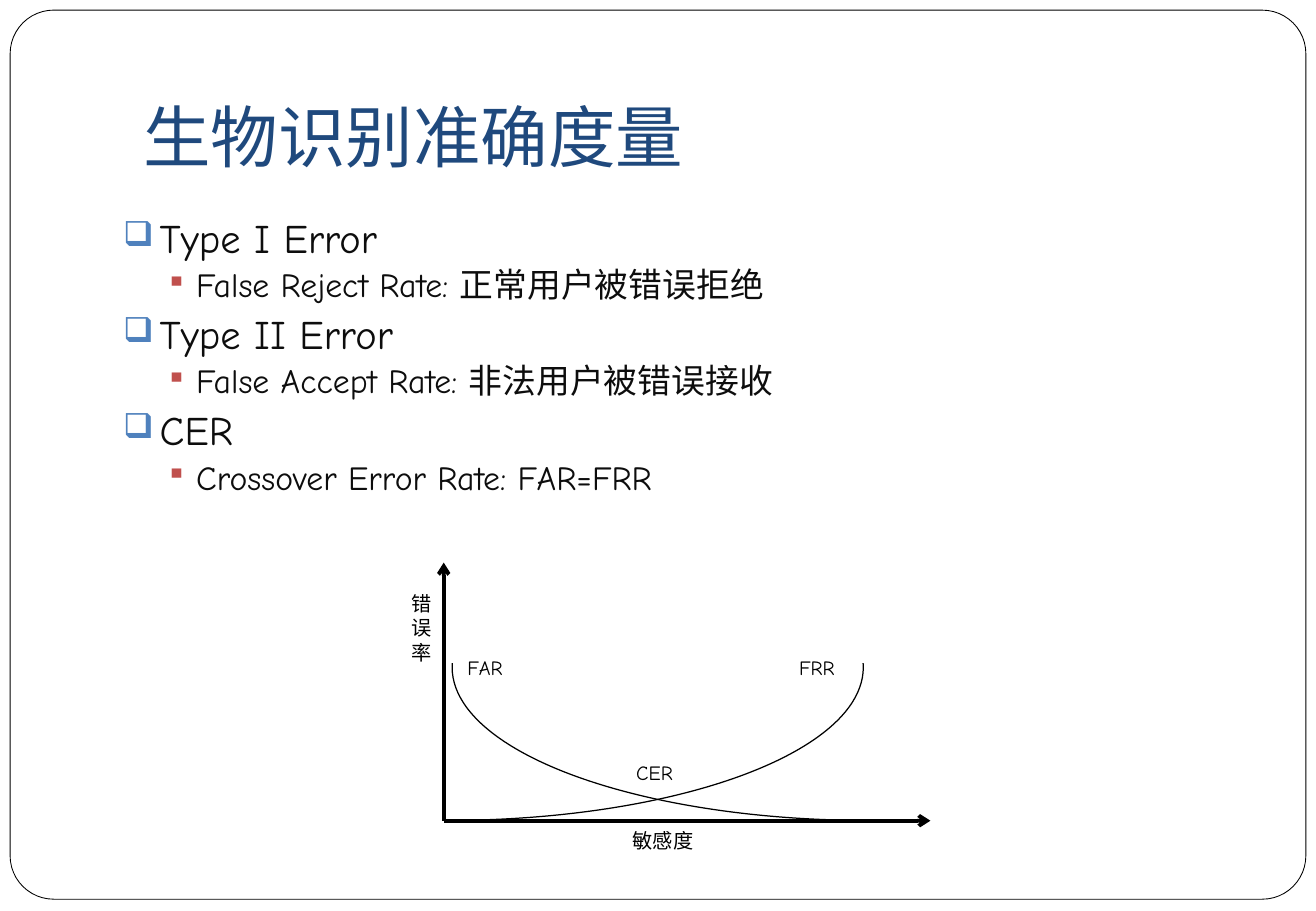
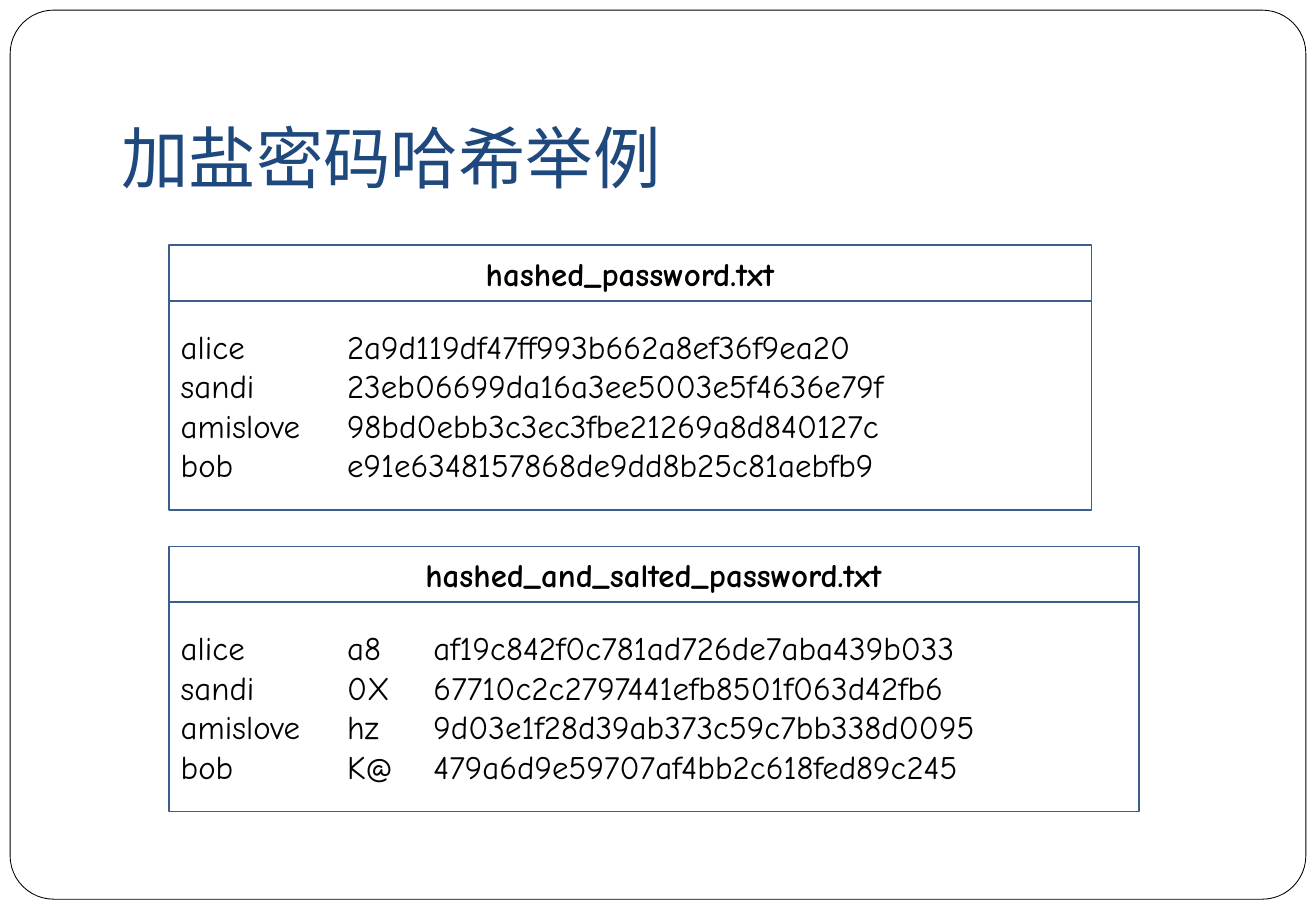
from lxml import etree
from pptx import Presentation
from pptx.dml.color import RGBColor
from pptx.enum import shapes, text
from pptx.oxml import ns
from pptx.util import Pt

COLORS = {
    "paper": "FFFFFF", "ink": "000000", "body": "0D0D0D", "title": "1F497D",
    "box": "3A5F8C", "blue": "4F81BD", "red": "C0504D",
}
FONT = "Comic Neue"
LEVELS = [
    {"size": 24, "left": 21.6, "hang": 21.6, "gap": 5.8, "mark": "❑", "color": "blue"},
    {"size": 20, "left": 43.2, "hang": 18, "gap": 3.7, "mark": "▪", "color": "red"},
]


def color(name):
    return RGBColor.from_string(COLORS[name])


def add(node, tag, **attrs):
    return etree.SubElement(node, ns.qn(tag), attrs)


class Deck:
    def __init__(self):
        self.prs = Presentation()
        self.prs.slide_width, self.prs.slide_height = Pt(780), Pt(540)

    def page(self):
        self.slide = self.prs.slides.add_slide(self.prs.slide_layouts[6])
        frame = self.shape("ROUNDED_RECTANGLE", 6, 6, 768, 527, "ink", 0.5, "paper")
        frame.adjustments[0] = 0.049

    def shape(self, kind, x, y, w, h, line, width, fill=None):
        item = self.slide.shapes.add_shape(
            getattr(shapes.MSO_SHAPE, kind), Pt(x), Pt(y), Pt(w), Pt(h))
        item.shadow.inherit = False
        item.line.color.rgb = color(line)
        item.line.width = Pt(width)
        if fill:
            item.fill.solid()
            item.fill.fore_color.rgb = color(fill)
        else:
            item.fill.background()
        return item

    def words(self, item, copy, size, tint, bold=False, align="LEFT", anchor="TOP"):
        frame = item.text_frame
        frame.word_wrap = True
        frame.vertical_anchor = getattr(text.MSO_ANCHOR, anchor)
        frame.text = copy
        for para in frame.paragraphs:
            para.alignment = getattr(text.PP_ALIGN, align)
            for run in para.runs:
                run.font.name = FONT
                run.font.size = Pt(size)
                run.font.bold = bold
                run.font.color.rgb = color(tint)
        return frame

    def label(self, copy, x, y, w, h, size=12, tint="ink", anchor="TOP"):
        item = self.slide.shapes.add_textbox(Pt(x), Pt(y), Pt(w), Pt(h))
        return self.words(item, copy, size, tint, anchor=anchor)

    def title(self, copy, x, y, w, h):
        frame = self.label(copy, x, y, w, h, 40, "title", "BOTTOM")
        frame.margin_bottom = Pt(7.2)

    def bullets(self, items, x, y, w, h):
        copy = "\n".join(line for _, line in items)
        frame = self.label(copy, x, y, w, h, 24, "body")
        for i, (para, (rank, _)) in enumerate(zip(frame.paragraphs, items)):
            style = LEVELS[rank]
            para.level = rank
            props = para._p.get_or_add_pPr()
            props.set("marL", str(Pt(style["left"])))
            props.set("indent", str(-Pt(style["hang"])))
            add(add(props, "a:buClr"), "a:srgbClr", val=COLORS[style["color"]])
            add(props, "a:buSzPct", val="85000")
            add(props, "a:buChar", char=style["mark"])
            para.line_spacing = 0.9
            para.space_before = Pt(style["gap"] if i else 0)
            for run in para.runs:
                run.font.size = Pt(style["size"])

    def curve(self, x, y, w, h, flip=False):
        arc = self.shape("ARC", x, y, w, h, "ink", 0.75)
        arc.adjustments[0], arc.adjustments[1] = 161.637, 0.355
        arc.rotation = 180
        if flip:
            arc._element.spPr.find(ns.qn("a:xfrm")).set("flipH", "1")

    def arrow(self, x1, y1, x2, y2):
        line = self.slide.shapes.add_connector(
            shapes.MSO_CONNECTOR.STRAIGHT, Pt(x1), Pt(y1), Pt(x2), Pt(y2))
        line.line.color.rgb = color("ink")
        line.line.width = Pt(2.25)
        props = line._element.spPr
        add(props.find(ns.qn("a:ln")), "a:tailEnd", type="arrow")
        add(props, "a:effectLst")

    def table(self, name, rows, tabs, y, w):
        x, head, body = 100, 33, 124
        panel = self.shape("RECTANGLE", x, y + head, w, body, "box", 1, "paper")
        copy = "\n".join("\t".join(row) for row in rows)
        frame = self.words(panel, copy, 19.5, "ink", anchor="MIDDLE")
        for para in frame.paragraphs:
            stops = add(para._p.get_or_add_pPr(), "a:tabLst")
            for tab in tabs:
                add(stops, "a:tab", pos=str(Pt(tab)), algn="l")
        top = self.shape("RECTANGLE", x, y, w, head, "box", 1, "paper")
        self.words(top, name, 19.5, "ink", True, "CENTER", "MIDDLE")


def errors(deck):
    deck.page()
    deck.title("生物识别准确度量", 78, 21.6, 663, 90)
    deck.bullets([
        (0, "Type I Error"),
        (1, "False Reject Rate: 正常用户被错误拒绝"),
        (0, "Type II Error"),
        (1, "False Accept Rate: 非法用户被错误接收"),
        (0, "CER"),
        (1, "Crossover Error Rate: FAR=FRR"),
    ], 66, 126, 648, 207)
    deck.curve(18.7, 304.8, 493, 181.5, flip=True)
    deck.curve(268, 304.8, 493, 181.5)
    left, base = 263, 486.5
    deck.arrow(left, base, 551.5, base)
    deck.arrow(left, base, left, 333.5)
    deck.label("错误率", 237, 347, 21, 51)
    deck.label("敏感度", 368, 487.5, 55.5, 21.5)
    for name, x, y in [("FAR", 270, 385), ("FRR", 466.5, 385), ("CER", 370, 447)]:
        deck.label(name, x, y, 45.5, 21.5)


def hashes(deck):
    deck.page()
    deck.title("加盐密码哈希举例", 64.8, 50.5, 590, 73.5)
    users = ["alice", "sandi", "amislove", "bob"]
    plain = [
        "2a9d119df47ff993b662a8ef36f9ea20",
        "23eb06699da16a3ee5003e5f4636e79f",
        "98bd0ebb3c3ec3fbe21269a8d840127c",
        "e91e6348157868de9dd8b25c81aebfb9",
    ]
    salts = ["a8", "0X", "hz", "K@"]
    salted = [
        "af19c842f0c781ad726de7aba439b033",
        "67710c2c2797441efb8501f063d42fb6",
        "9d03e1f28d39ab373c59c7bb338d0095",
        "479a6d9e59707af4bb2c618fed89c245",
    ]
    deck.table("hashed_and_salted_password.txt", zip(users, salts, salted),
               [98.6, 149.8], 324, 575)
    deck.table("hashed_password.txt", zip(users, plain), [98.6], 145.4, 547)


def main():
    deck = Deck()
    errors(deck)
    hashes(deck)
    deck.prs.save("out.pptx")


if __name__ == "__main__":
    main()
